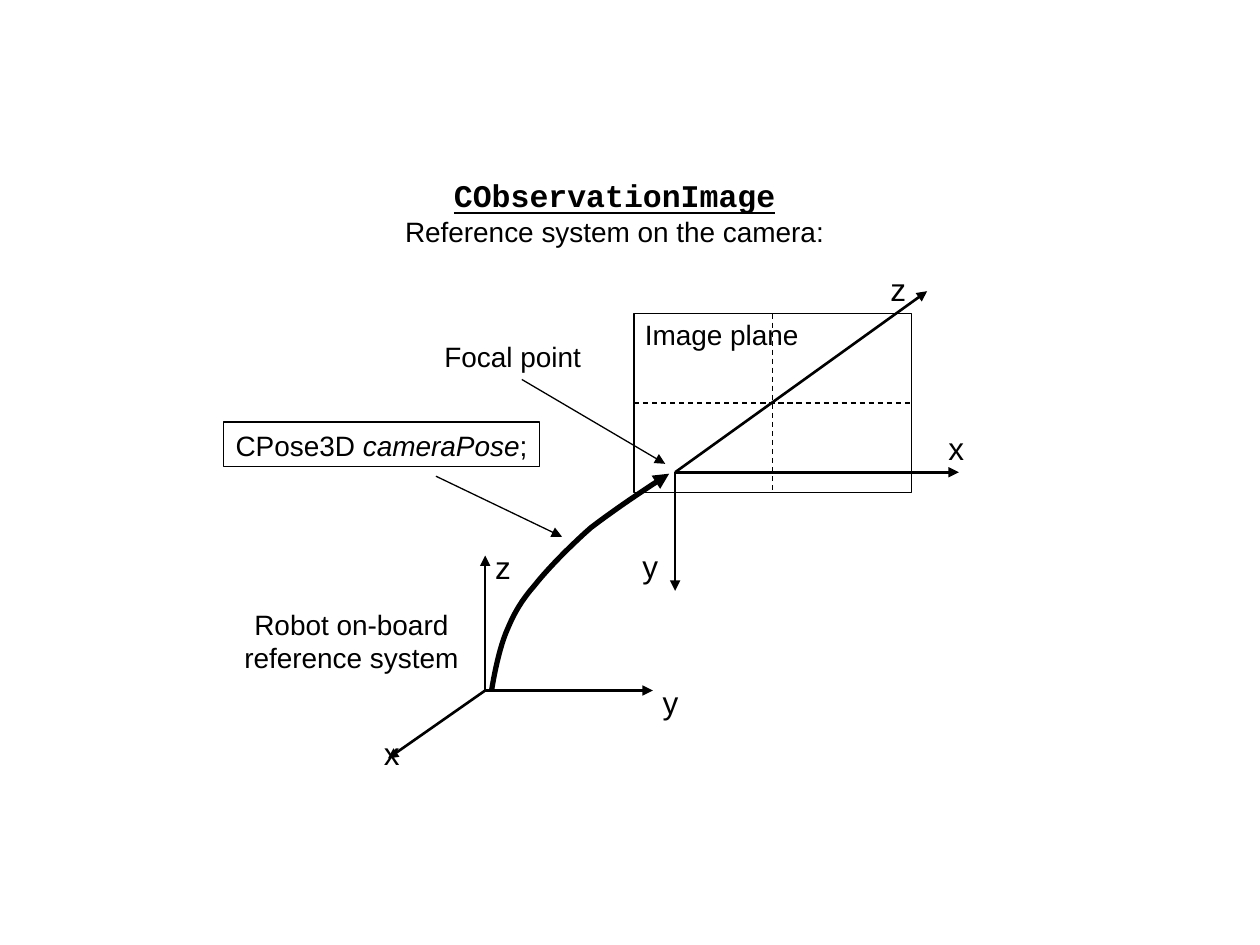
from lxml import etree
from pptx import Presentation
from pptx.dml.color import RGBColor
from pptx.enum.dml import MSO_LINE
from pptx.enum.shapes import MSO_CONNECTOR, MSO_SHAPE
from pptx.enum.text import MSO_ANCHOR, MSO_AUTO_SIZE, PP_ALIGN
from pptx.oxml.ns import qn
from pptx.util import Cm, Pt

STRAIGHT = MSO_CONNECTOR.STRAIGHT
RECTANGLE = MSO_SHAPE.RECTANGLE
DASH = MSO_LINE.DASH
TOP = MSO_ANCHOR.TOP
FIXED = MSO_AUTO_SIZE.NONE
LEFT, CENTER = PP_ALIGN.LEFT, PP_ALIGN.CENTER

COLORS = {"ink": "000000"}
SANS, MONO = "Arial", "Courier New"
THIN, AXIS, THICK = 0.75, 1.5, 3
AXIS_LABEL_SIZE = (0.81, 0.97)

TITLE = ("CObservationImage", "Reference system on the camera:")
TITLE_BOX = (7.92, 3.43, 8.94, 1.6)

# name, arrow tip, label corner
FRAMES = [
    {"origin": (9.78, 13.92), "axes": [
        ("z", (9.78, 11.2), (9.73, 10.92)),
        ("x", (7.82, 15.29), (7.49, 14.68)),
        ("y", (13.16, 13.92), (13.11, 13.64))]},
    {"origin": (13.61, 9.52), "axes": [
        ("y", (13.61, 11.91), (12.7, 10.9)),
        ("x", (19.33, 9.52), (18.87, 8.53)),
        ("z", (18.69, 5.87), (17.7, 5.31))]},
]
IMAGE_PLANE = (12.78, 6.32, 5.59, 3.61)
CAPTIONS = [
    ("Robot on-board\nreference system", (4.67, 12.12, 4.83, 1.52), CENTER),
    ("Focal point", (8.71, 6.73, 3.25, 0.89), LEFT),
    ("Image plane", (12.75, 6.27, 3.61, 0.89), LEFT),
]
POSE_PARTS = [("CPose3D ", False), ("cameraPose", True), (";", False)]
POSE_BOX = (4.5, 8.51, 6.38, 0.89)
POINTERS = [((8.79, 9.6), (11.33, 10.82)), ((10.52, 7.65), (13.41, 9.35))]
POSE_CURVE_START = (9.91, 13.92)
POSE_CURVE = [
    ((9.98, 13.51), (10.06, 13.13), (10.19, 12.78)),
    ((10.34, 12.42), (10.46, 12.17), (10.77, 11.81)),
    ((11.05, 11.46), (11.48, 11.02), (11.91, 10.64)),
    ((12.37, 10.29), (12.93, 9.91), (13.49, 9.55)),
]
CURVE_STEPS = 10


def ink():
    return RGBColor.from_string(COLORS["ink"])


def style_line(line, width, arrow=False):
    line.color.rgb = ink()
    line.width = Pt(width)
    if arrow:
        outline = line._get_or_add_ln()
        etree.SubElement(outline, qn("a:tailEnd"), type="triangle")


def style_run(run, size, font=SANS, bold=False, italic=False, underline=False):
    run.font.name = font
    run.font.size = Pt(size)
    run.font.bold = bold
    run.font.italic = italic
    run.font.underline = underline
    run.font.color.rgb = ink()


def fit_frame(frame, align):
    frame.word_wrap = True
    frame.auto_size = FIXED
    frame.vertical_anchor = TOP
    frame.margin_right = 0
    if align == CENTER:
        frame.margin_left = 0
    for paragraph in frame.paragraphs:
        paragraph.alignment = align


def add_line(slide, start, end, width, arrow=True, dashed=False):
    connector = slide.shapes.add_connector(
        STRAIGHT, *(Cm(value) for value in (*start, *end)))
    if dashed:
        connector.line.dash_style = DASH
    style_line(connector.line, width, arrow)
    etree.SubElement(connector._element.spPr, qn("a:effectLst"))


def add_label(slide, wording, box, size, align=LEFT):
    label = slide.shapes.add_textbox(*map(Cm, box))
    frame = label.text_frame
    frame.text = wording
    fit_frame(frame, align)
    for paragraph in frame.paragraphs:
        for run in paragraph.runs:
            style_run(run, size)
    return label


def add_title(slide):
    title = slide.shapes.title
    title.left, title.top, title.width, title.height = map(Cm, TITLE_BOX)
    frame = title.text_frame
    frame.text = "\n".join(TITLE)
    fit_frame(frame, CENTER)
    name, subtitle = frame.paragraphs
    style_run(name.runs[0], 18, MONO, bold=True, underline=True)
    style_run(subtitle.runs[0], 16)


def add_image_plane(slide):
    left, top, width, height = IMAGE_PLANE
    plane = slide.shapes.add_shape(RECTANGLE, *map(Cm, IMAGE_PLANE))
    plane.shadow.inherit = False
    plane.fill.background()
    style_line(plane.line, THIN)
    middle_x, middle_y = left + width / 2, top + height / 2
    for start, end in (((left, middle_y), (left + width, middle_y)),
                       ((middle_x, top), (middle_x, top + height))):
        add_line(slide, start, end, THIN, arrow=False, dashed=True)


def add_pose_box(slide):
    pose = add_label(slide, "", POSE_BOX, 16)
    style_line(pose.line, THIN)
    for wording, italic in POSE_PARTS:
        run = pose.text_frame.paragraphs[0].add_run()
        run.text = wording
        style_run(run, 16, italic=italic)


def bezier(controls, t):
    weights = ((1 - t) ** 3, 3 * t * (1 - t) ** 2, 3 * t * t * (1 - t), t ** 3)
    return tuple(Cm(sum(w * value for w, value in zip(weights, values)))
                 for values in zip(*controls))


def add_pose_curve(slide):
    points = []
    start = POSE_CURVE_START
    for segment in POSE_CURVE:
        points += [bezier((start, *segment), step / CURVE_STEPS)
                   for step in range(1, CURVE_STEPS + 1)]
        start = segment[-1]
    builder = slide.shapes.build_freeform(*map(Cm, POSE_CURVE_START))
    builder.add_line_segments(points, close=False)
    curve = builder.convert_to_shape()
    curve.shadow.inherit = False
    curve.fill.background()
    style_line(curve.line, THICK, arrow=True)


def main():
    """Build the camera reference system slide."""
    deck = Presentation()
    deck.slide_width, deck.slide_height = Cm(25.4), Cm(19.05)
    slide = deck.slides.add_slide(deck.slide_layouts.get_by_name("Title Only"))
    add_title(slide)
    add_pose_box(slide)
    add_image_plane(slide)
    for frame in FRAMES:
        for name, tip, corner in frame["axes"]:
            add_line(slide, frame["origin"], tip, AXIS)
            add_label(slide, name, (*corner, *AXIS_LABEL_SIZE), 18)
    add_pose_curve(slide)
    for start, end in POINTERS:
        add_line(slide, start, end, THIN)
    for wording, box, align in CAPTIONS:
        add_label(slide, wording, box, 16, align)
    deck.save("out.pptx")


if __name__ == "__main__":
    main()
